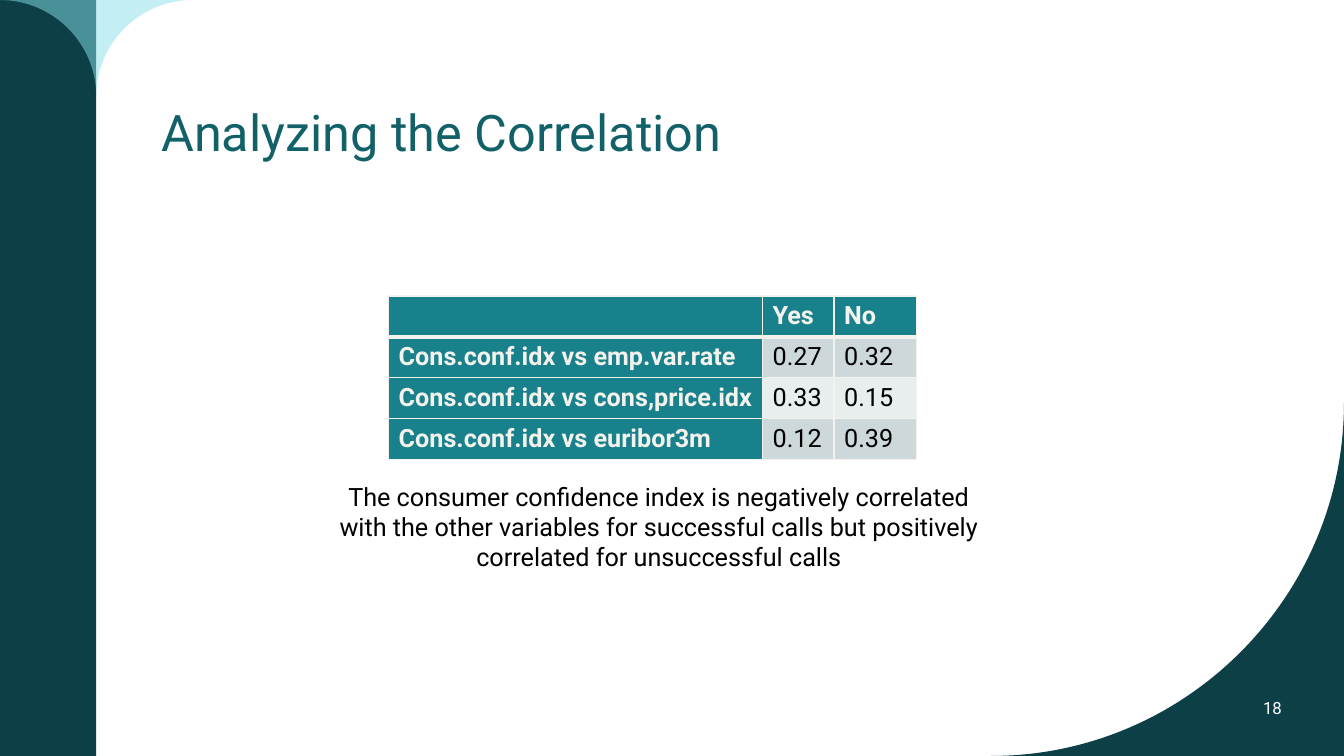
from lxml.etree import SubElement
from pptx import Presentation
from pptx.dml.color import RGBColor
from pptx.enum.shapes import MSO_SHAPE
from pptx.enum.text import MSO_ANCHOR, MSO_AUTO_SIZE, PP_ALIGN
from pptx.oxml import parse_xml
from pptx.oxml.ns import nsdecls, qn
from pptx.util import Pt

WIDE, HIGH = 960, 540
STRIP = 68.75
CURVE = 252
BEND = 0.55  # handle length of a quarter circle, as a share of its radius
COLORS = {
    "dark": "0C4046", "aqua": "89E1EB", "title": "126169", "teal": "18818C",
    "cream": "F4F2EC", "band": "CCD8DA", "pale": "E8EDEE",
    "black": "000000", "white": "FFFFFF",
}
ROWS = [
    ["", "Yes", "No"],
    ["Cons.conf.idx vs emp.var.rate", "0.27", "0.32"],
    ["Cons.conf.idx vs cons,price.idx", "0.33", "0.15"],
    ["Cons.conf.idx vs euribor3m", "0.12", "0.39"],
]
WIDTHS = [267.1, 51.1, 59]
ROW_HIGH = 29.2
NOTE = ("The consumer confidence index is negatively correlated with the other "
        "variables for successful calls but positively correlated for "
        "unsuccessful calls")


def color(name):
    return RGBColor.from_string(COLORS[name])


def write(frame, text, size, tint, bold=False, **layout):
    for key, value in layout.items():
        setattr(frame, key, value)
    frame.text = text
    for run in frame.paragraphs[0].runs:
        for key, value in {"name": "Roboto", "size": Pt(size), "bold": bold}.items():
            setattr(run.font, key, value)
        run.font.color.rgb = color(tint)


def paint(shape, tint):
    shape.shadow.inherit = False
    shape.fill.solid()
    shape.fill.fore_color.rgb = color(tint)
    shape.line.fill.background()


def quarter(start, corner, end):
    """Two handles and the end of a quarter circle that bends round a corner."""
    first, second = (
        tuple(p + BEND * (q - p) for p, q in zip(point, corner))
        for point in (start, end))
    return [first, second, end]


def add_curved(slide, start, curves, tint):
    """Add a closed outline of quarter circles, then straight back to start."""
    dots = [(Pt(x), Pt(y)) for x, y in curves]
    form = slide.shapes.build_freeform(Pt(start[0]), Pt(start[1]))
    form.add_line_segments(dots, close=True)
    shape = form.convert_to_shape()
    paint(shape, tint)
    lines = list(shape.element.iter(qn("a:lnTo")))
    for i in range(0, len(dots), 3):
        first, *rest = lines[i:i + 3]
        bend = parse_xml(f'<a:cubicBezTo {nsdecls("a")}/>')
        first.addprevious(bend)
        for line in (first, *rest):
            bend.append(line[0])
            line.getparent().remove(line)
    return shape


def add_decor(slide):
    right, low = (WIDE, HIGH - CURVE), (WIDE - CURVE, HIGH)
    corner = (WIDE, HIGH)
    foot = add_curved(slide, right, quarter(right, corner, low), "dark")
    close = next(foot.element.iter(qn("a:close")))
    turn = parse_xml(f'<a:lnTo {nsdecls("a")}><a:pt x="{Pt(CURVE)}" '
                     f'y="{Pt(CURVE)}"/></a:lnTo>')
    close.addprevious(turn)

    strip = slide.shapes.add_shape(MSO_SHAPE.RECTANGLE, 0, 0, Pt(STRIP), Pt(HIGH))
    paint(strip, "dark")

    left, top, tip, end = (0, 0), (STRIP, 0), (STRIP, STRIP), (2 * STRIP, 0)
    flare = add_curved(
        slide, left, quarter(left, top, tip) + quarter(tip, top, end), "aqua")
    tone = next(flare.element.iter(qn("a:srgbClr")))
    SubElement(tone, qn("a:alpha"), val="50000")


def add_title(slide, text):
    title = slide.shapes.title
    spot = {"left": 108, "top": 29.2, "width": 755, "height": 134.4}
    for key, value in spot.items():
        setattr(title, key, Pt(value))
    write(title.text_frame, text, 36, "title", word_wrap=True,
          auto_size=MSO_AUTO_SIZE.NONE, vertical_anchor=MSO_ANCHOR.MIDDLE)
    line = title.text_frame.paragraphs[0]
    line.alignment, line.line_spacing = PP_ALIGN.LEFT, 0.9


def add_text(slide, box, text, size, tint, anchor=MSO_ANCHOR.TOP):
    frame = slide.shapes.add_textbox(*map(Pt, box)).text_frame
    write(frame, text, size, tint, word_wrap=True, vertical_anchor=anchor)
    frame.paragraphs[0].alignment = PP_ALIGN.CENTER


def set_edges(cell, bottom):
    widths = {"lnL": 1, "lnR": 1, "lnT": 1, "lnB": bottom}
    for place, (tag, width) in enumerate(widths.items()):
        edge = parse_xml(
            f'<a:{tag} {nsdecls("a")} w="{Pt(width)}"><a:solidFill>'
            f'<a:srgbClr val="{COLORS["cream"]}"/></a:solidFill></a:{tag}>')
        cell._tc.get_or_add_tcPr().insert(place, edge)


def add_grid(slide, left, top):
    size = (left, top, sum(WIDTHS), ROW_HIGH * len(ROWS))
    grid = slide.shapes.add_table(len(ROWS), len(WIDTHS), *map(Pt, size)).table
    grid.first_col = True
    for column, width in zip(grid.columns, WIDTHS):
        column.width = Pt(width)
    for r, row in enumerate(ROWS):
        grid.rows[r].height = Pt(ROW_HIGH)
        for c, text in enumerate(row):
            cell = grid.cell(r, c)
            head = r == 0 or c == 0
            cell.fill.solid()
            cell.fill.fore_color.rgb = color(
                "teal" if head else "band" if r % 2 else "pale")
            write(cell.text_frame, text, 18, "cream" if head else "black", head)
            set_edges(cell, 3 if r == 0 else 1)


def main():
    deck = Presentation()
    deck.slide_width, deck.slide_height = Pt(WIDE), Pt(HIGH)
    slide = deck.slides.add_slide(deck.slide_layouts[5])
    add_decor(slide)
    add_title(slide, "Analyzing the Correlation")
    add_grid(slide, 277.6, 211.5)
    add_text(slide, (858, 471, 102, 69), "18", 12, "white", MSO_ANCHOR.MIDDLE)
    add_text(slide, (235.2, 340, 471, 73), NOTE, 18, "black")
    deck.save("out.pptx")


if __name__ == "__main__":
    main()
